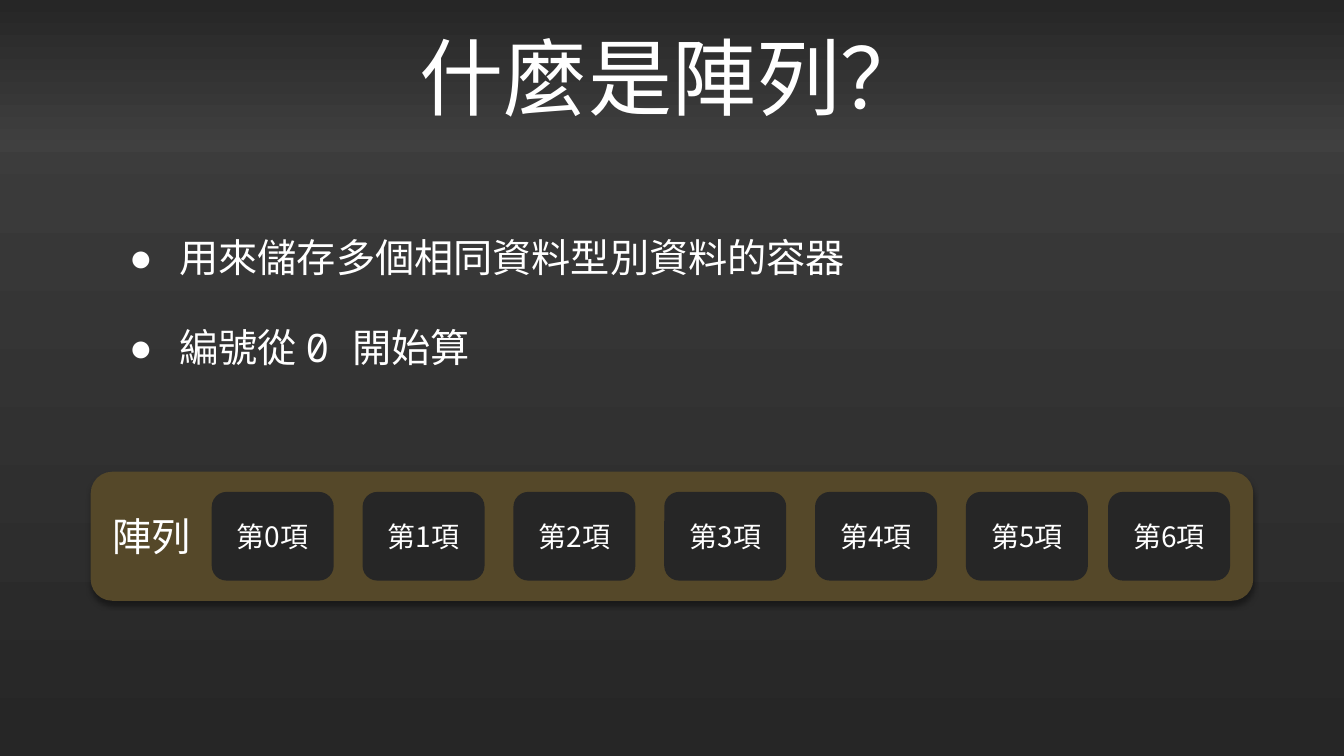
from lxml.etree import SubElement
from pptx import Presentation
from pptx.dml.color import RGBColor
from pptx.enum.shapes import MSO_SHAPE
from pptx.enum.text import MSO_ANCHOR, MSO_AUTO_SIZE, PP_ALIGN
from pptx.oxml import parse_xml
from pptx.oxml.ns import nsdecls, qn
from pptx.util import Inches, Pt

SANS = "Noto Sans CJK SC"
MONO = "Noto Sans Mono"
WHITE, DARK, GREY, BROWN = "FFFFFF", "262626", "404040", "554829"


def color(code):
    return RGBColor.from_string(code)


def shade(fill, top, bottom):
    """Fill with a gradient running straight down."""
    fill.gradient()
    fill.gradient_angle = 270
    for stop, code in zip(fill.gradient_stops, (top, bottom)):
        stop.color.rgb = color(code)


def style(run, size, latin=SANS):
    font = run.font
    font.size = Pt(size)
    font.name = latin
    font.color.rgb = color(WHITE)
    east = SubElement(font._element, qn("a:ea"))
    east.set("typeface", SANS)


def place(shape, left, top, width, height):
    shape.left, shape.top = Inches(left), Inches(top)
    shape.width, shape.height = Inches(width), Inches(height)


def center(shape, text, size):
    frame = shape.text_frame
    frame.text = text
    frame.vertical_anchor = MSO_ANCHOR.MIDDLE
    frame.paragraphs[0].alignment = PP_ALIGN.CENTER
    style(frame.paragraphs[0].runs[0], size)


def add_title(slide, left, top, width, height):
    title = slide.shapes.title
    place(title, left, top, width, height)
    shade(title.fill, DARK, GREY)
    center(title, "什麼是陣列？", 60)
    title.text_frame.auto_size = MSO_AUTO_SIZE.NONE


def add_bullet(para):
    props = para._p.get_or_add_pPr()
    props.set("marL", str(Inches(0.5)))
    props.set("indent", str(Inches(-0.5)))
    tint = SubElement(SubElement(props, qn("a:buClr")), qn("a:srgbClr"))
    tint.set("val", WHITE)
    SubElement(props, qn("a:buFont")).set("typeface", "Arial")
    SubElement(props, qn("a:buChar")).set("char", "●")


def add_points(slide, left, top, width, height):
    body = slide.placeholders[1]
    place(body, left, top, width, height)
    frame = body.text_frame
    frame.text = "用來儲存多個相同資料型別資料的容器\n編號從 0 開始算"
    frame.vertical_anchor = MSO_ANCHOR.MIDDLE
    frame.auto_size = MSO_AUTO_SIZE.NONE
    for para, gap, latin in zip(frame.paragraphs, (0, 34), ("Arial", MONO)):
        para.line_spacing = 0.9
        para.space_before = Pt(gap)
        add_bullet(para)
        style(para.runs[0], 28, latin)


def add_box(group, left, top, width, height, fill):
    box = group.shapes.add_shape(
        MSO_SHAPE.ROUNDED_RECTANGLE,
        Inches(left), Inches(top), Inches(width), Inches(height))
    box.shadow.inherit = False
    box.fill.solid()
    box.fill.fore_color.rgb = color(fill)
    box.line.fill.background()
    return box


def add_shadow(shape):
    effects = shape._element.spPr.find(qn("a:effectLst"))
    effects.append(parse_xml(
        f'<a:outerShdw {nsdecls("a")} blurRad="{Pt(4)}" dist="{Pt(3)}" '
        'dir="5400000" algn="t" rotWithShape="0"><a:srgbClr val="000000">'
        '<a:alpha val="40000"/></a:srgbClr></a:outerShdw>'))


def add_array(slide, left, top, width, height):
    """Draw the array band with its label and seven items."""
    group = slide.shapes.add_group_shape()
    add_shadow(add_box(group, left, top, width, height, BROWN))
    label = group.shapes.add_textbox(
        Inches(left + 0.11), Inches(top + 0.35), Inches(0.99), Inches(0.57))
    label.text_frame.word_wrap = False
    center(label, "陣列", 28)
    for i in range(7):
        shift = min(1.2 + 7.48 * i / 5, 10.09)  # the last item sits closer
        item = add_box(group, left + shift, top + 0.2, 1.21, 0.88, DARK)
        center(item, f"第{i}項", 20)


def main():
    deck = Presentation()
    deck.slide_width, deck.slide_height = Inches(13.33), Inches(7.5)
    slide = deck.slides.add_slide(deck.slide_layouts[1])
    shade(slide.background.fill, GREY, DARK)
    add_title(slide, 0, 0, 13.33, 1.51)
    add_points(slide, 1.18, 2.02, 10.83, 2.01)
    add_array(slide, 0.9, 4.68, 11.53, 1.28)
    deck.save("out.pptx")


if __name__ == "__main__":
    main()
